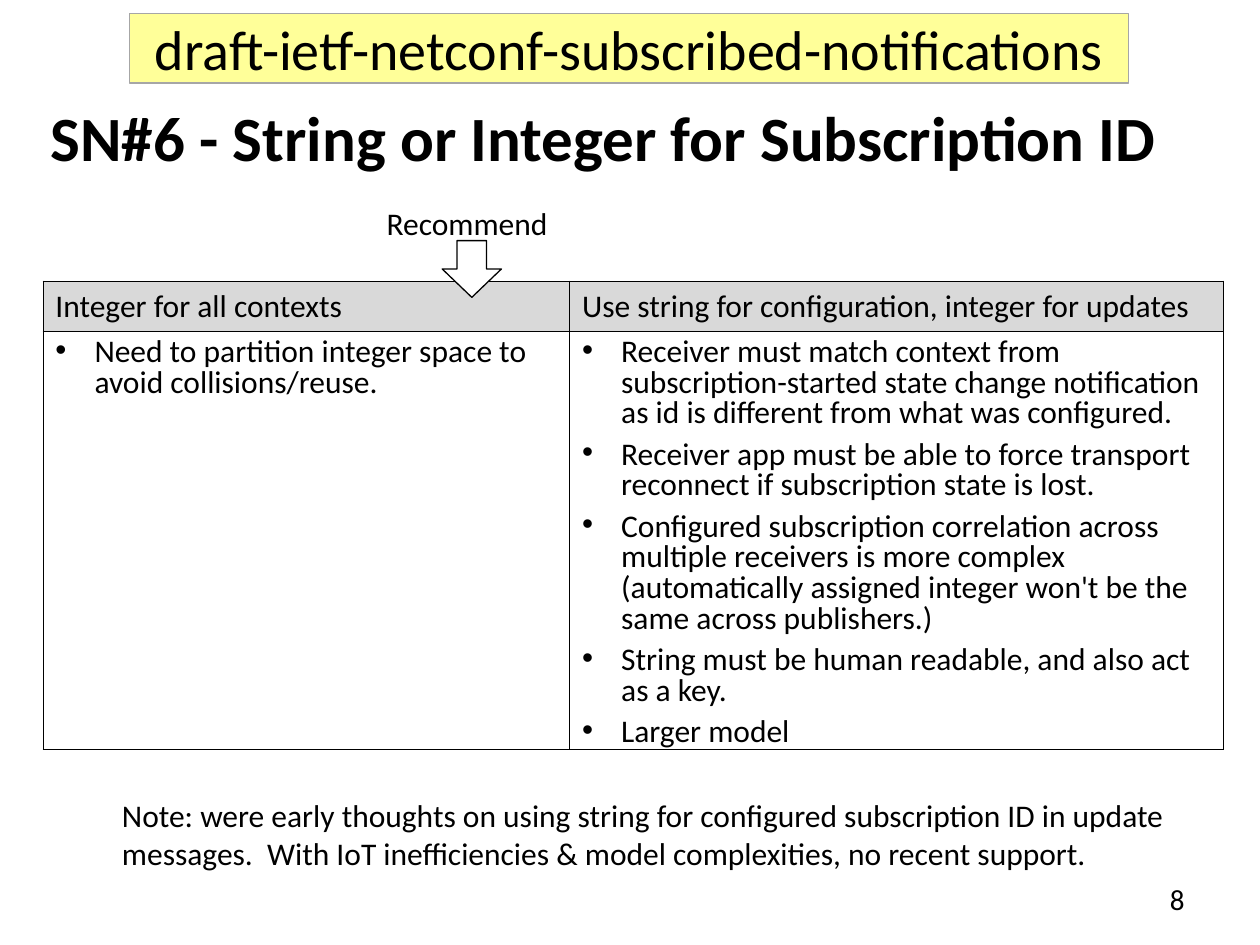
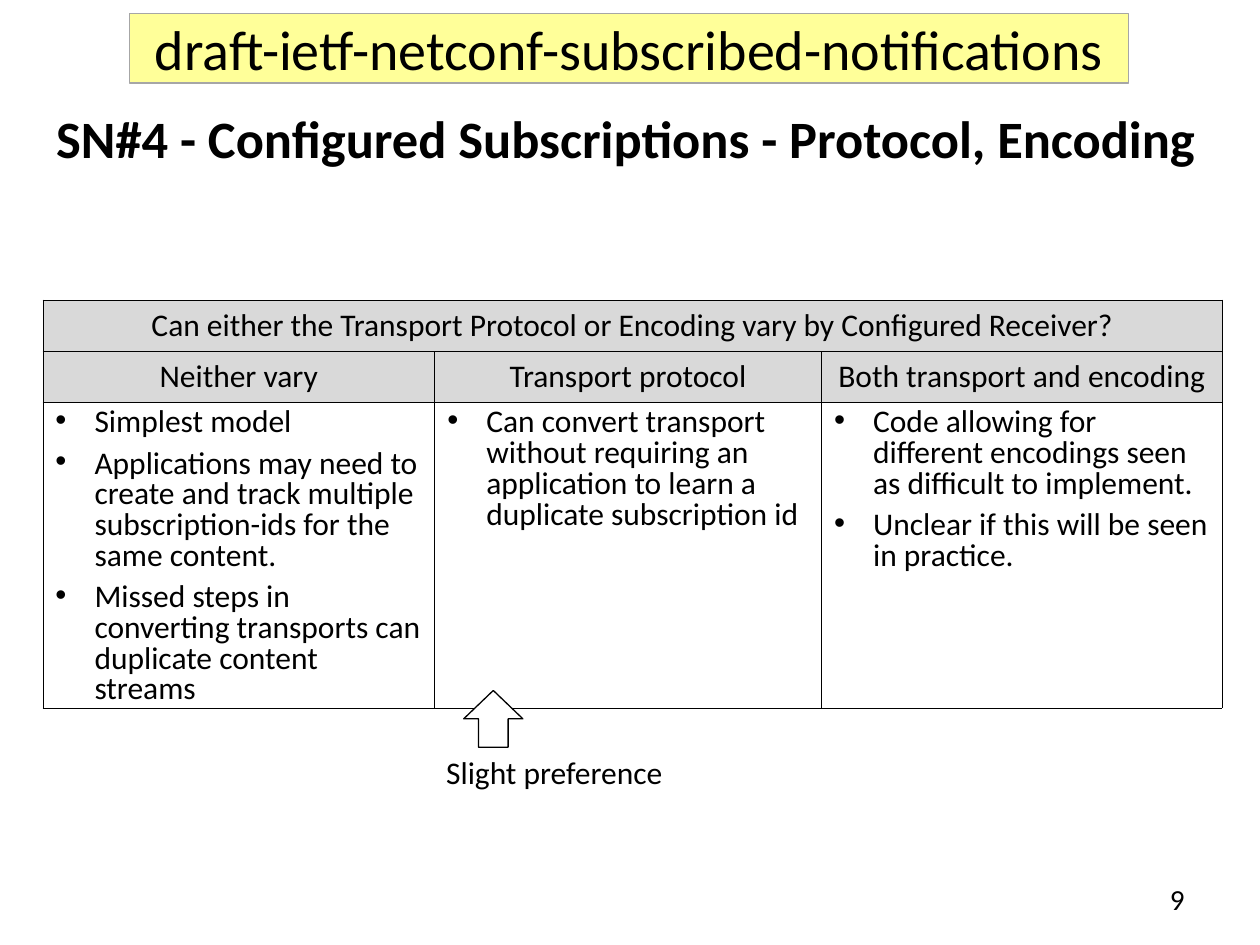
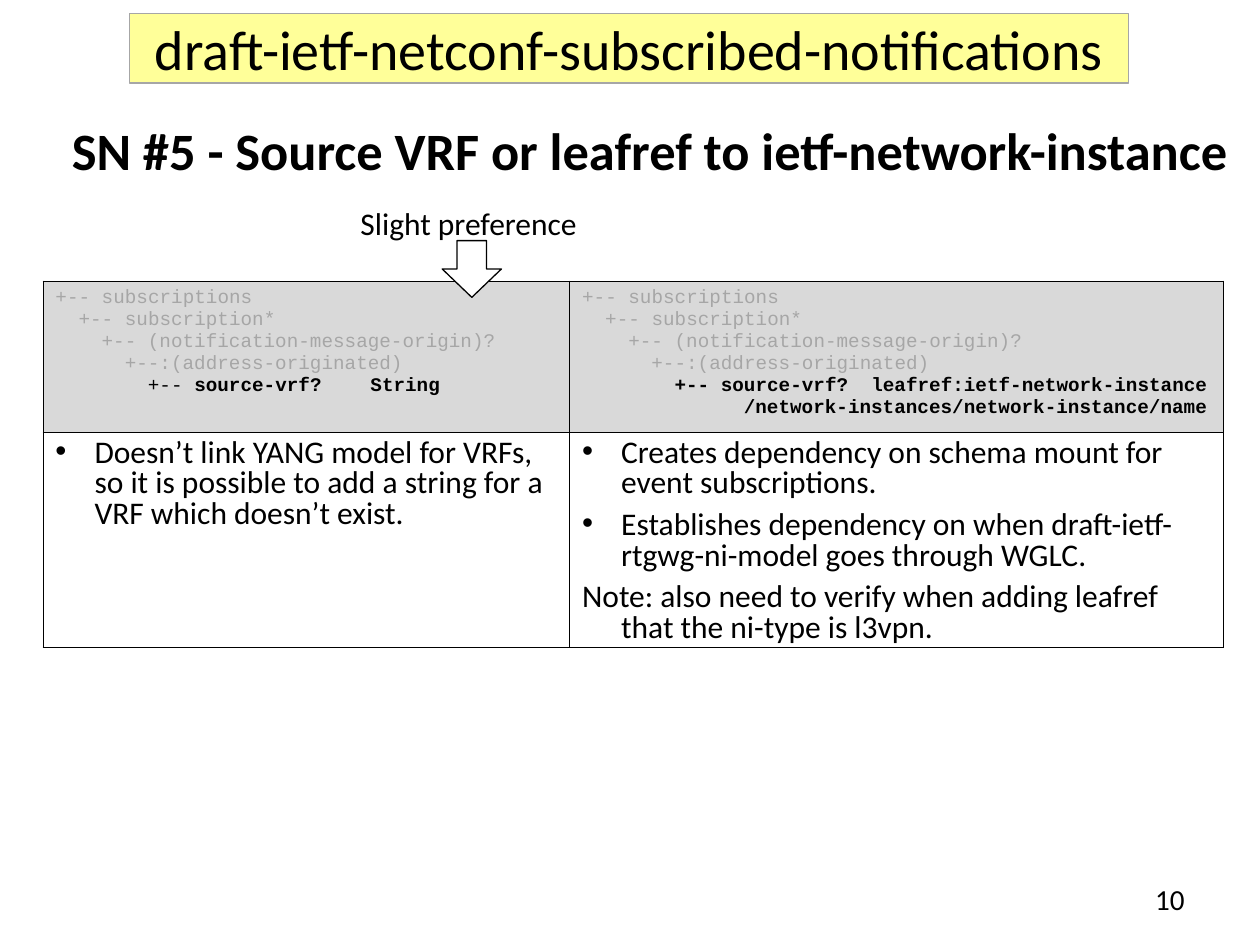
import dataclasses
import typing

import pptx
import pptx.dml.color
import pptx.enum.shapes
import pptx.enum.text
import pptx.oxml
import pptx.oxml.ns
import pptx.util

Inches = pptx.util.Inches
Pt = pptx.util.Pt
Align = pptx.enum.text.PP_ALIGN
Anchor = pptx.enum.text.MSO_ANCHOR
Preset = pptx.enum.shapes.MSO_SHAPE


@dataclasses.dataclass(frozen=True)
class Theme:
    black: str = "000000"
    white: str = "FFFFFF"
    banner: str = "FFFF99"
    grey: str = "A6A6A6"
    header: str = "D9D9D9"
    sans: str = "Calibri"
    mono: str = "Courier New"
    banner_size: float = 32
    body_size: float = 18
    number_size: float = 16.6
    code_size: float = 11
    outline: float = 0.75
    border: float = 0.45


THEME = Theme()
TITLE_ONLY_LAYOUT = 5
CODE_CHARACTER = Inches(0.6 * THEME.code_size / 72)  # a monospaced letter is 0.6 em wide
HANGING = Inches(0.31)


class Frame(typing.NamedTuple):
    left: float
    top: float
    width: float
    height: float

    def lengths(self) -> list[pptx.util.Length]:
        return [Inches(value) for value in self]


@dataclasses.dataclass(frozen=True)
class Span:
    text: str
    size: float = THEME.body_size
    bold: bool = False
    color: str = THEME.black
    font: str = THEME.sans


@dataclasses.dataclass(frozen=True)
class Para:
    spans: tuple[Span, ...]
    align: Align = Align.LEFT
    margin: int = 0
    indent: int = 0
    tab: int = 0
    bullet: bool = False
    format: dict = dataclasses.field(default_factory=dict)


@dataclasses.dataclass(frozen=True)
class Title:
    text: str
    frame: Frame
    size: float


@dataclasses.dataclass(frozen=True)
class Grid:
    top: float
    columns: list[float]
    rows: list[float]
    cells: list[list[list[Para]]]
    header_rows: int = 1


@dataclasses.dataclass(frozen=True)
class Label:
    text: str
    frame: Frame
    align: Align = Align.LEFT


@dataclasses.dataclass(frozen=True)
class Arrow:
    left: float
    top: float
    rotation: float = 0


@dataclasses.dataclass(frozen=True)
class Page:
    number: int
    title: Title
    grid: Grid
    arrow: Arrow
    labels: list[Label]


def plain(text: str, align: Align = Align.LEFT) -> list[Para]:
    return [Para((Span(text),), align)]


def hanging(text: str, bullet: bool = True) -> Para:
    return Para((Span(text),), margin=HANGING, indent=-HANGING, bullet=bullet,
                format={"line_spacing": 0.8, "space_before": Pt(6)})


def bullets(*texts: str) -> list[Para]:
    return [hanging(text) for text in texts]


def code(depth: int, *spans: Span, tab: int = 0) -> Para:
    """Code line indented by depth characters, with an optional tab stop in characters."""
    return Para(spans, indent=depth * CODE_CHARACTER, tab=tab * CODE_CHARACTER)


def code_span(text: str, bold: bool = False, color: str = THEME.black) -> Span:
    return Span(text, THEME.code_size, bold, color, THEME.mono)


def tree(*last_lines: Para) -> list[Para]:
    """The greyed parent nodes, followed by the lines that differ."""
    parents = ["+-- subscriptions", "+-- subscription*",
               "+-- (notification-message-origin)?", "+--:(address-originated)"]
    shared = [code(2 * level, code_span(text, color=THEME.grey))
              for level, text in enumerate(parents)]
    return shared + list(last_lines)


def rgb(value: str) -> pptx.dml.color.RGBColor:
    return pptx.dml.color.RGBColor.from_string(value)


def apply(target: typing.Any, values: dict[str, typing.Any]) -> None:
    for name, value in values.items():
        setattr(target, name, value)


def element(xml: str) -> typing.Any:
    head, rest = xml.split(" ", 1)
    return pptx.oxml.parse_xml(f"{head} {pptx.oxml.ns.nsdecls('a')} {rest}")


def write(text_frame: typing.Any, paras: list[Para]) -> None:
    for index, para in enumerate(paras):
        paragraph = text_frame.paragraphs[0] if index == 0 else text_frame.add_paragraph()
        apply(paragraph, {"alignment": para.align, **para.format})
        properties = paragraph._p.get_or_add_pPr()
        properties.set("marL", str(para.margin))
        properties.set("indent", str(para.indent))
        if para.bullet:
            properties.append(element('<a:buFont typeface="Arial"/>'))
            properties.append(element('<a:buChar char="•"/>'))
        if para.tab:
            properties.append(element(
                f'<a:tabLst ><a:tab pos="{para.tab}" algn="l"/></a:tabLst>'))
        for span in para.spans:
            run = paragraph.add_run()
            run.text = span.text
            apply(run.font, {"name": span.font, "size": Pt(span.size), "bold": span.bold})
            run.font.color.rgb = rgb(span.color)


def add_title(slide: typing.Any, title: Title) -> None:
    box = slide.shapes.title
    apply(box, dict(zip(("left", "top", "width", "height"), title.frame.lengths())))
    apply(box.text_frame, {
        "margin_left": 0, "margin_right": 0, "margin_top": 0, "margin_bottom": 0,
        "vertical_anchor": Anchor.MIDDLE, "word_wrap": True,
        "auto_size": pptx.enum.text.MSO_AUTO_SIZE.NONE})
    write(box.text_frame, [Para((Span(title.text, title.size, True),), Align.CENTER)])


def add_text(slide: typing.Any, frame: Frame, paras: list[Para]) -> None:
    box = slide.shapes.add_textbox(*frame.lengths())
    box.text_frame.word_wrap = True
    write(box.text_frame, paras)


def add_outlined(slide: typing.Any, preset: Preset, frame: Frame,
                 fill: str, line: str) -> typing.Any:
    shape = slide.shapes.add_shape(preset, *frame.lengths())
    shape.shadow.inherit = False
    shape.fill.solid()
    shape.fill.fore_color.rgb = rgb(fill)
    shape.line.color.rgb = rgb(line)
    shape.line.width = Pt(THEME.outline)
    return shape


def add_banner(slide: typing.Any) -> None:
    band = add_outlined(slide, Preset.RECTANGLE, Frame(1.03, 0.11, 7.93, 0.55),
                        THEME.banner, THEME.grey)
    apply(band.text_frame, {"vertical_anchor": Anchor.MIDDLE, "word_wrap": True})
    name = Span("draft-ietf-netconf-subscribed-notifications", THEME.banner_size)
    write(band.text_frame, [Para((name,), Align.CENTER)])


def add_arrow(slide: typing.Any, arrow: Arrow) -> None:
    shape = add_outlined(slide, Preset.DOWN_ARROW, Frame(arrow.left, arrow.top, 0.47, 0.45),
                         THEME.white, THEME.black)
    shape.rotation = arrow.rotation


def format_cell(cell: typing.Any, is_header: bool) -> None:
    properties = cell._tc.get_or_add_tcPr()
    for side in ("lnL", "lnR", "lnT", "lnB"):
        properties.append(element(
            f'<a:{side} w="{Pt(THEME.border)}"><a:solidFill>'
            f'<a:srgbClr val="{THEME.black}"/></a:solidFill></a:{side}>'))
    if is_header:
        cell.fill.solid()
        cell.fill.fore_color.rgb = rgb(THEME.header)
    else:
        cell.fill.background()


def add_grid(slide: typing.Any, grid: Grid) -> None:
    """Draw the table; a row with a single cell spans all columns."""
    frame = Frame(0.34, grid.top, sum(grid.columns), sum(grid.rows))
    table = slide.shapes.add_table(len(grid.rows), len(grid.columns), *frame.lengths()).table
    apply(table, {"first_row": False, "horz_banding": False})
    for column, width in zip(table.columns, grid.columns):
        column.width = Inches(width)
    for row, height in zip(table.rows, grid.rows):
        row.height = Inches(height)
    for row_index, contents in enumerate(grid.cells):
        for column_index in range(len(grid.columns)):
            format_cell(table.cell(row_index, column_index), row_index < grid.header_rows)
        if len(contents) == 1:
            table.cell(row_index, 0).merge(table.cell(row_index, len(grid.columns) - 1))
        for column_index, paras in enumerate(contents):
            write(table.cell(row_index, column_index).text_frame, paras)


def add_page(deck: typing.Any, page: Page) -> None:
    slide = deck.slides.add_slide(deck.slide_layouts[TITLE_ONLY_LAYOUT])
    add_title(slide, page.title)
    number = Span(str(page.number), THEME.number_size)
    add_text(slide, Frame(7.17, 6.95, 2.33, 0.4), [Para((number,), Align.RIGHT)])
    add_grid(slide, page.grid)
    add_arrow(slide, page.arrow)
    for label in page.labels:
        add_text(slide, label.frame, plain(label.text, label.align))
    add_banner(slide)


TWO_COLUMNS = [4.18, 5.19]
ARROW_ABOVE = Arrow(3.51, 1.91)

PAGES = [
    Page(
        8,
        Title("SN#6 - String or Integer for Subscription ID", Frame(0.08, 0.73, 9.42, 0.7), 36),
        Grid(2.23, TWO_COLUMNS, [0.4, 3.32], [
            [plain("Integer for all contexts"),
             plain("Use string for configuration, integer for updates")],
            [bullets("Need to partition integer space to avoid collisions/reuse."),
             bullets(
                 "Receiver must match context from subscription-started state change "
                 "notification as id is different from what was configured.",
                 "Receiver app must be able to force transport reconnect if subscription "
                 "state is lost.",
                 "Configured subscription correlation across multiple receivers is more "
                 "complex (automatically assigned integer won't be the same across "
                 "publishers.)",
                 "String must be human readable, and also act as a key.",
                 "Larger model")],
        ]),
        ARROW_ABOVE,
        [Label("Note: were early thoughts on using string for configured subscription ID in "
               "update messages.  With IoT inefficiencies & model complexities, no recent "
               "support.", Frame(0.87, 6.27, 8.87, 0.7)),
         Label("Recommend", Frame(2.97, 1.57, 1.55, 0.4))],
    ),
    Page(
        9,
        Title("SN#4 - Configured Subscriptions - Protocol, Encoding",
              Frame(0.08, 0.74, 9.78, 0.7), 30),
        Grid(2.38, [3.11, 3.07, 3.18], [0.41, 0.4, 2.43], [
            [plain("Can either the Transport Protocol or Encoding vary by Configured "
                   "Receiver?", Align.CENTER)],
            [plain(text, Align.CENTER) for text in
             ("Neither vary", "Transport protocol", "Both transport and encoding")],
            [bullets(
                "Simplest model",
                "Applications may need to create and track multiple subscription-ids for "
                "the same content.",
                "Missed steps in converting transports can duplicate content streams"),
             bullets("Can convert transport without requiring an application to learn a "
                     "duplicate subscription id"),
             bullets("Code allowing for different encodings seen as difficult to implement.",
                     "Unclear if this will be seen in practice.")],
        ], header_rows=2),
        Arrow(3.68, 5.48, rotation=180),
        [Label("Slight preference", Frame(3.2, 5.93, 2.4, 0.4), Align.CENTER)],
    ),
    Page(
        10,
        Title("SN #5 - Source VRF or leafref to ietf-network-instance",
              Frame(0.46, 0.84, 9.4, 0.7), 30),
        Grid(2.23, TWO_COLUMNS, [1.2, 1.71], [
            [tree(code(8, code_span("+-- "), code_span("source-vrf?\tString", True), tab=33)),
             tree(code(8, code_span("+-- source-vrf?  leafref:ietf-network-instance", True)),
                  code(14, code_span("/network-instances/network-instance/name", True)))],
            [bullets("Doesn’t link YANG model for VRFs, so it is possible to add a string for "
                     "a VRF which doesn’t exist."),
             [*bullets("Creates dependency on schema mount for event subscriptions.",
                       "Establishes dependency on when draft-ietf-rtgwg-ni-model goes "
                       "through WGLC."),
              hanging("Note: also need to verify when adding leafref that the ni-type is "
                      "l3vpn.", bullet=False)]],
        ]),
        ARROW_ABOVE,
        [Label("Slight preference", Frame(2.52, 1.57, 2.4, 0.4), Align.CENTER)],
    ),
]


def main() -> None:
    deck = pptx.Presentation()
    apply(deck, {"slide_width": Inches(10), "slide_height": Inches(7.5)})
    for page in PAGES:
        add_page(deck, page)
    deck.save("out.pptx")


if __name__ == "__main__":
    main()
